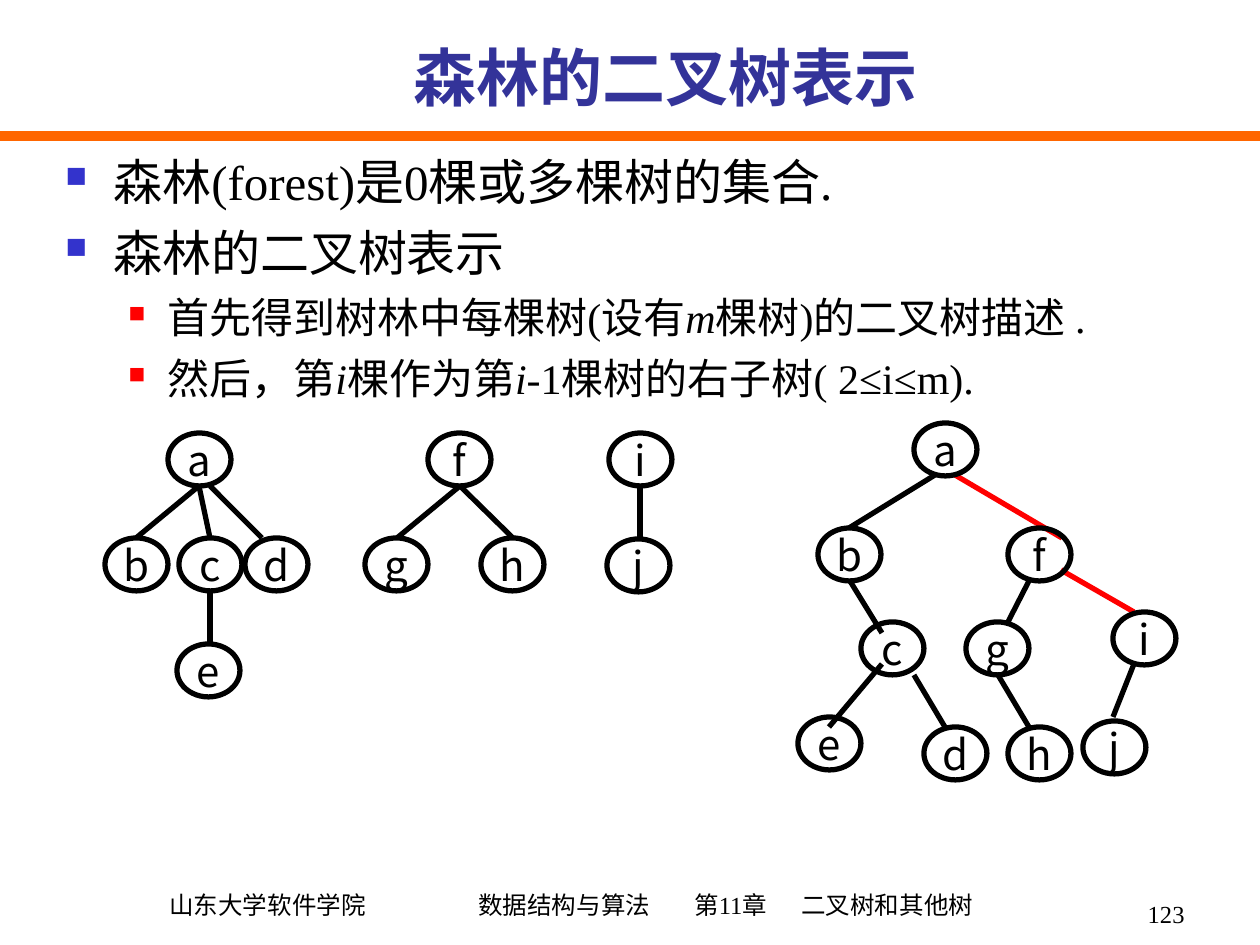
from pptx import Presentation, util as u
from pptx.dml.color import RGBColor
from pptx.enum import shapes, text
from pptx.oxml.ns import qn
from lxml import etree

PX = 914400 // 126
SERIF, SANS = "Times New Roman", "Noto Sans CJK KR"
NODE_W, NODE_H = 63, 53

TITLE = "森林的二叉树表示"
BODY = [
    (0, [("森林(forest)是0棵或多棵树的集合.", False)]),
    (0, [("森林的二叉树表示", False)]),
    (1, [("首先得到树林中每棵树(设有", False), ("m", True), ("棵树)的二叉树描述 .", False)]),
    (1, [("然后，第", False), ("i", True), ("棵作为第", False), ("i", True),
         ("-1棵树的右子树( 2≤i≤m).", False)]),
]
LEVELS = [
    dict(size=28, left=48, hang=48, before=7, color="3333CC", scale=60),
    dict(size=24, left=102, hang=39, before=6, color="FF0000", scale=55),
]
FOOTER = ["山东大学软件学院", "数据结构与算法", "第11章", "二叉树和其他树"]
FOOTER_TABS = [309, 525, 632]
PAGE = "123"

FOREST_NODES = [
    ("a", 168, 433), ("b", 105, 538), ("c", 179, 538), ("d", 245, 538), ("e", 177, 644),
    ("f", 428, 433), ("g", 365, 538), ("h", 481, 538),
    ("i", 609, 433), ("j", 607, 539),
]
FOREST_EDGES = [
    (199, 486, 136, 538), (199, 486, 210, 538), (210, 486, 262, 538), (210, 591, 210, 644),
    (460, 486, 397, 538), (460, 486, 513, 538), (640, 486, 640, 538),
]
BINARY_NODES = [
    ("a", 914, 423), ("b", 818, 528), ("c", 861, 622), ("d", 924, 727), ("e", 798, 717),
    ("f", 1008, 528), ("g", 966, 622), ("h", 1008, 727), ("i", 1113, 612), ("j", 1083, 721),
]
BINARY_EDGES = [
    (935, 475, 849, 528), (850, 581, 882, 633), (914, 675, 945, 727), (1029, 581, 1008, 622),
    (882, 664, 829, 727), (998, 675, 1029, 727), (1134, 664, 1113, 717),
]
ROOT_LINKS = [(955, 475, 1062, 538), (1061, 570, 1134, 612)]


def px(*values):
    return [u.Emu(v * PX) for v in values]


def rgb(value):
    return RGBColor.from_string(value)


def add_text(p, content, size, font=SERIF, color="000000", bold=False, italic=False):
    r = p.add_run()
    r.text = content
    f = r.font
    f.size, f.name, f.bold, f.italic = u.Pt(size), font, bold, italic
    f.color.rgb = rgb(color)


def add_box(s, *box, anchor=text.MSO_ANCHOR.TOP):
    tf = s.shapes.add_textbox(*px(*box)).text_frame
    tf.word_wrap = True
    tf.vertical_anchor = anchor
    return tf


def sub(parent, tag, **attrs):
    return etree.SubElement(parent, qn(tag), {k: str(v) for k, v in attrs.items()})


def add_bullet(p, left, hang, color, scale):
    pPr = p._p.get_or_add_pPr()
    pPr.set("marL", str(left * PX))
    pPr.set("indent", str(-hang * PX))
    sub(sub(pPr, "a:buClr"), "a:srgbClr", val=color)
    sub(pPr, "a:buSzPct", val=scale * 1000)
    sub(pPr, "a:buChar", char="■")


def add_line(s, x1, y1, x2, y2, color="000000", width=3):
    c = s.shapes.add_connector(shapes.MSO_CONNECTOR.STRAIGHT, *px(x1, y1, x2, y2))
    c.line.color.rgb = rgb(color)
    c.line.width = u.Pt(width)
    sub(c._element.spPr, "a:effectLst")


def add_node(s, label, x, y):
    sp = s.shapes.add_shape(shapes.MSO_SHAPE.OVAL, *px(x, y, NODE_W, NODE_H))
    sp.shadow.inherit = False
    sp.fill.background()
    sp.line.color.rgb = rgb("000000")
    sp.line.width = u.Pt(3)
    tf = sp.text_frame
    tf.word_wrap = False
    tf.vertical_anchor = text.MSO_ANCHOR.MIDDLE
    p = tf.paragraphs[0]
    p.alignment = text.PP_ALIGN.CENTER
    add_text(p, label, 24, SANS)


def add_tree(s, nodes, edges):
    for node in nodes:
        add_node(s, *node)
    for edge in edges:
        add_line(s, *edge)


def main():
    prs = Presentation()
    prs.slide_width, prs.slide_height = px(1260, 945)
    s = prs.slides.add_slide(prs.slide_layouts[5])
    add_line(s, 0, 136, 1260, 136, "FF6600", 6)

    title = s.shapes.title
    title.left, title.top, title.width, title.height = px(95, 35, 1141, 85)
    tf = title.text_frame
    tf.vertical_anchor = text.MSO_ANCHOR.BOTTOM
    p = tf.paragraphs[0]
    p.alignment = text.PP_ALIGN.CENTER
    add_text(p, TITLE, 36, color="333399", bold=True)

    tf = add_box(s, 53, 145, 1182, 268)
    for i, (level, runs) in enumerate(BODY):
        p = tf.add_paragraph() if i else tf.paragraphs[0]
        style = LEVELS[level]
        p.level = level
        add_bullet(p, style["left"], style["hang"], style["color"], style["scale"])
        p.space_before = u.Pt(style["before"] if i else 0)
        for content, italic in runs:
            add_text(p, content, style["size"], italic=italic)

    p = add_box(s, 77, 863, 911, 63, anchor=text.MSO_ANCHOR.BOTTOM).paragraphs[0]
    pPr = p._p.get_or_add_pPr()
    pPr.set("marL", str(80 * PX))
    tabs = sub(pPr, "a:tabLst")
    for pos in FOOTER_TABS:
        sub(tabs, "a:tab", pos=pos * PX, algn="l")
    add_text(p, "\t".join(FOOTER), 14)

    p = add_box(s, 935, 872, 262, 63, anchor=text.MSO_ANCHOR.BOTTOM).paragraphs[0]
    p.alignment = text.PP_ALIGN.RIGHT
    add_text(p, PAGE, 14)

    add_tree(s, FOREST_NODES, FOREST_EDGES)
    for link in ROOT_LINKS:
        add_line(s, *link, color="FF0000")
    add_tree(s, BINARY_NODES, BINARY_EDGES)
    prs.save("out.pptx")


if __name__ == "__main__":
    main()
